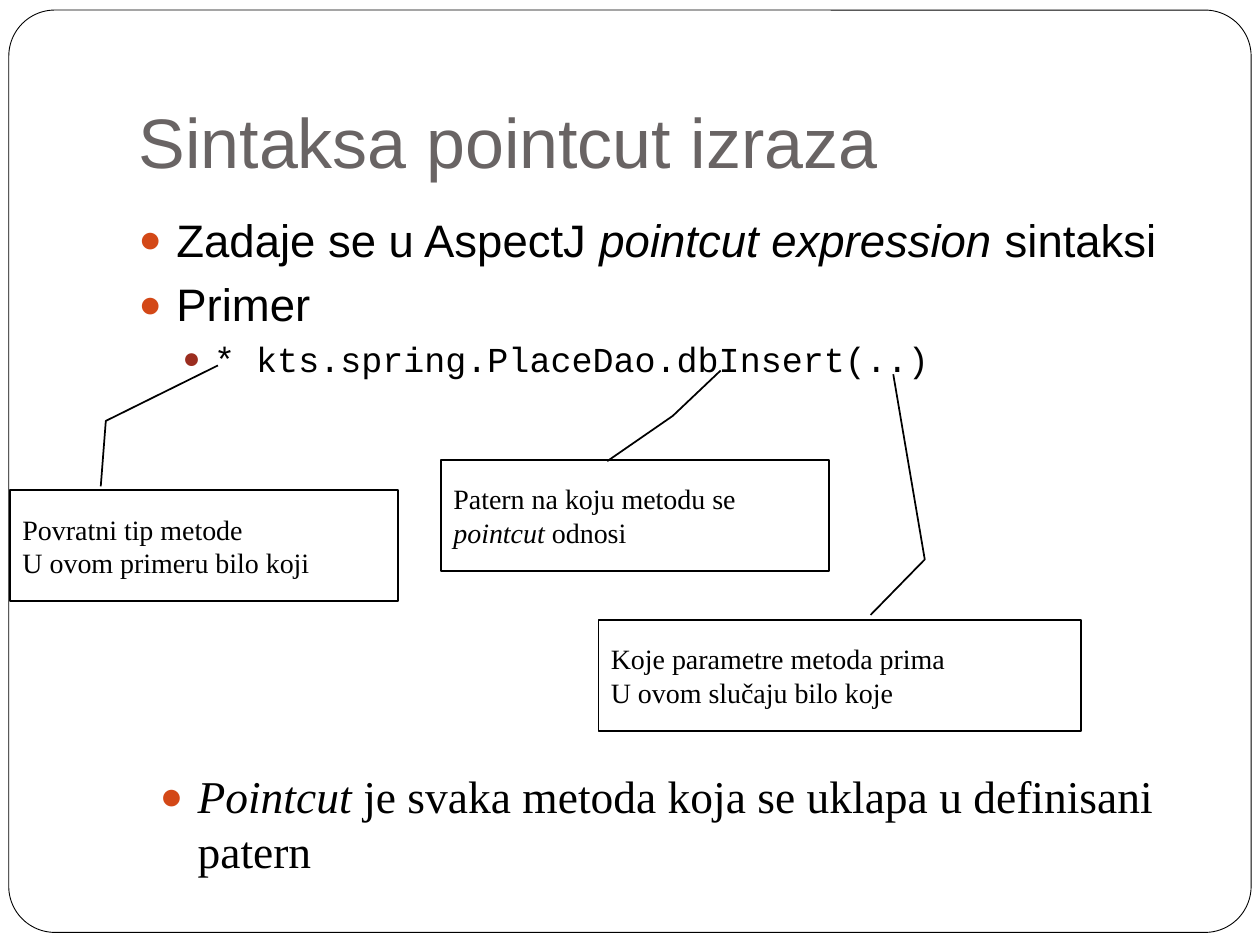
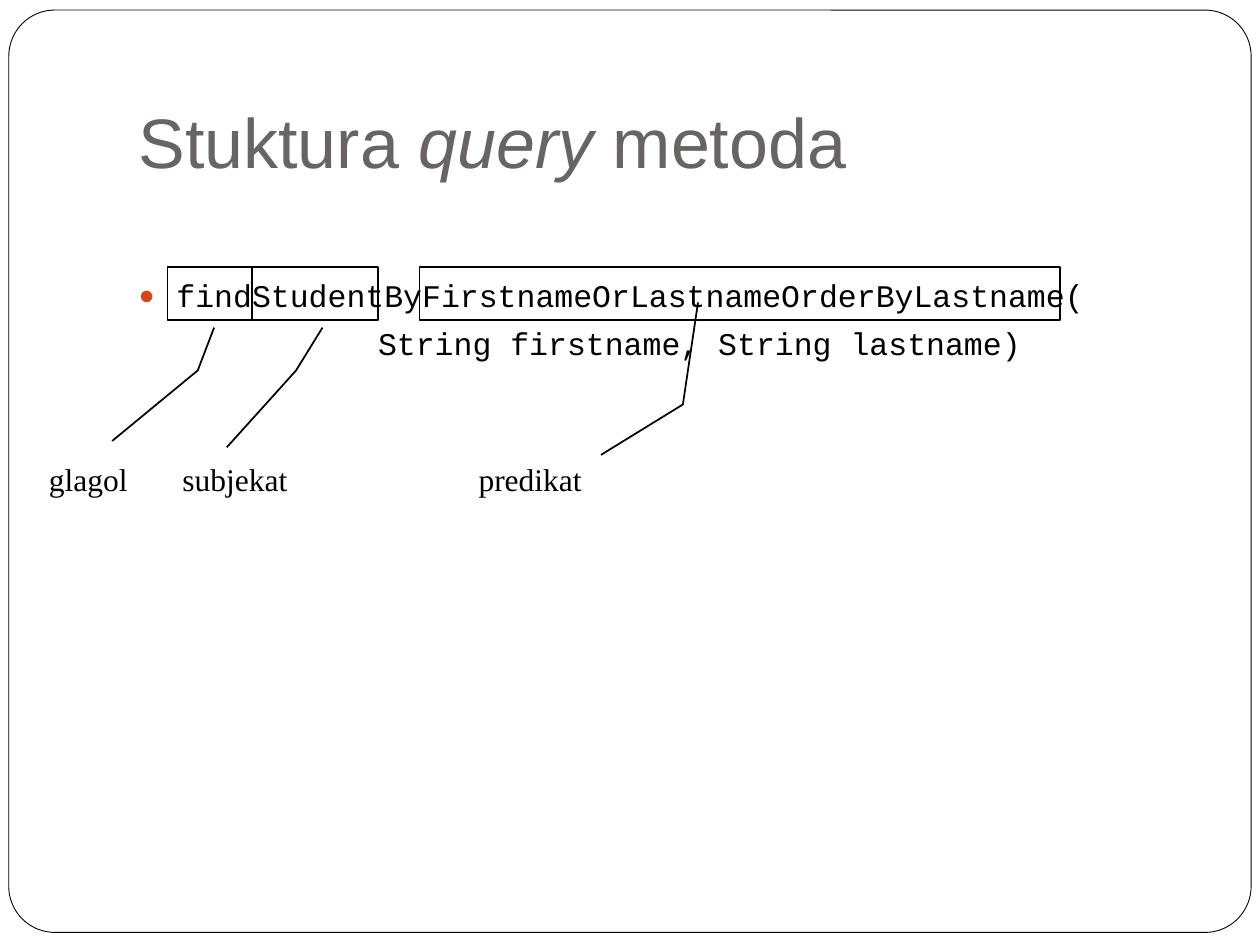
from lxml import etree
from pptx import Presentation
from pptx import util as u
from pptx.dml.color import RGBColor
from pptx.enum import shapes, text
from pptx.oxml.ns import qn

SANS, SERIF, MONO = "Arial", "Times New Roman", "Courier New"
BLACK, WHITE, GREY = "000000", "FFFFFF", "696464"
ORANGE, RED = "D34817", "9B2D1F"


def color(value):
    return RGBColor.from_string(value)


def inches(*values):
    return [u.Inches(value) for value in values]


class Deck:
    def __init__(self):
        self.presentation = Presentation()
        self.presentation.slide_width, self.presentation.slide_height = inches(10, 7.5)
        self.layout = self.presentation.slide_layouts[1]
        self.slide = None

    def outline(self, shape, width, fill):
        shape.shadow.inherit = False
        shape.line.color.rgb = color(BLACK)
        shape.line.width = u.Pt(width)
        if fill:
            shape.fill.solid()
            shape.fill.fore_color.rgb = color(fill)
        else:
            shape.fill.background()

    def frame(self):
        frame = self.slide.shapes.add_shape(
            shapes.MSO_SHAPE.ROUNDED_RECTANGLE, *inches(0.07, 0.08, 9.86, 7.32))
        frame.adjustments[0] = 0.05
        self.outline(frame, 0.5, WHITE)
        self.layout.element.cSld.spTree.insert(2, frame.element)

    def new_slide(self, title_runs):
        self.slide = self.presentation.slides.add_slide(self.layout)
        if len(self.presentation.slides) == 1:
            self.frame()
        title = self.slide.shapes.title
        self.place(title, 1, 0.3, 8.5, 1.25)
        frame = title.text_frame
        frame.margin_bottom = u.Inches(0.1)
        frame.vertical_anchor = text.MSO_ANCHOR.BOTTOM
        self.add_runs(frame.paragraphs[0], title_runs, SANS, 40, GREY)

    def place(self, shape, left, top, width, height):
        shape.left, shape.top, shape.width, shape.height = inches(left, top, width, height)
        shape.text_frame.word_wrap = True
        shape.text_frame.auto_size = text.MSO_AUTO_SIZE.NONE

    def add_runs(self, paragraph, runs, font, size, font_color=BLACK):
        paragraph.alignment = text.PP_ALIGN.LEFT
        for content, italic in runs:
            run = paragraph.add_run()
            run.text = content
            run.font.name = font
            run.font.size = u.Pt(size)
            run.font.italic = italic
            run.font.color.rgb = color(font_color)

    def body(self, top, height):
        body = self.slide.placeholders[1]
        self.place(body, 1, top, 8.5, height)
        return body.text_frame

    def textbox(self, left, top, width, height):
        box = self.slide.shapes.add_textbox(*inches(left, top, width, height))
        box.text_frame.word_wrap = True
        return box.text_frame

    def item(self, frame, runs, font, size, margin=0.3, indent=-0.3,
             bullet=ORANGE, level=0, before=5.8):
        paragraph = frame.paragraphs[0]
        first = not paragraph.runs
        if not first:
            paragraph = frame.add_paragraph()
        properties = paragraph._p.get_or_add_pPr()
        properties.set("marL", str(u.Inches(margin)))
        properties.set("indent", str(u.Inches(indent)))
        if bullet:
            bullet_color = etree.SubElement(properties, qn("a:buClr"))
            etree.SubElement(bullet_color, qn("a:srgbClr"), val=bullet)
            etree.SubElement(properties, qn("a:buSzPct"), val="85000")
            etree.SubElement(properties, qn("a:buFont"), typeface=SANS)
            etree.SubElement(properties, qn("a:buChar"), char="●")
        else:
            etree.SubElement(properties, qn("a:buNone"))
        paragraph.level = level
        paragraph.space_before = u.Pt(0 if first else before)
        self.add_runs(paragraph, runs, font, size)

    def callout(self, box, points, lines=(), fill=None):
        left, top, width, height = box
        callout = self.slide.shapes.add_shape(shapes.MSO_SHAPE.LINE_CALLOUT_2, *inches(*box))
        for index, (x, y) in enumerate(points):
            callout.adjustments[2 * index] = (y - top) / height
            callout.adjustments[2 * index + 1] = (x - left) / width
        self.outline(callout, 1, fill)
        frame = callout.text_frame
        frame.word_wrap = True
        frame.vertical_anchor = text.MSO_ANCHOR.MIDDLE
        for index, runs in enumerate(lines):
            paragraph = frame.add_paragraph() if index else frame.paragraphs[0]
            self.add_runs(paragraph, runs, SERIF, 16)

    def label(self, content, left, width):
        frame = self.textbox(left, 3.6, width, 0.4)
        self.add_runs(frame.paragraphs[0], [(content, False)], SERIF, 18)


def pointcut_slide(deck):
    deck.new_slide([("Sintaksa pointcut izraza", False)])
    body = deck.body(1.63, 4.95)
    deck.item(body, [("Zadaje se u AspectJ ", False), ("pointcut expression", True),
                     (" sintaksi", False)], SANS, 26)
    deck.item(body, [("Primer", False)], SANS, 26)
    deck.item(body, [("* kts.spring.PlaceDao.dbInsert(..)", False)], MONO, 20,
              margin=0.6, indent=-0.25, bullet=RED, level=1, before=3.7)
    callouts = [
        ((0.08, 3.89, 3.08, 0.88), [(0.8, 3.86), (0.84, 3.34), (1.73, 2.9)],
         [[("Povratni tip metode", False)], [("U ovom primeru bilo koji", False)]]),
        ((3.5, 3.65, 3.08, 0.88), [(4.82, 3.66), (5.34, 3.3), (5.72, 2.94)],
         [[("Patern na koju metodu se ", False), ("pointcut", True), (" odnosi", False)]]),
        ((4.75, 4.92, 3.83, 0.88), [(6.91, 4.88), (7.34, 4.44), (7.09, 2.97)],
         [[("Koje parametre metoda prima", False)], [("U ovom slučaju bilo koje", False)]]),
    ]
    for box, points, lines in callouts:
        deck.callout(box, points, lines, WHITE)
    conclusion = deck.textbox(1.17, 6.05, 8.5, 1.03)
    deck.item(conclusion, [("Pointcut", True),
                           (" je svaka metoda koja se uklapa u definisani patern", False)],
              SERIF, 26)


def query_slide(deck):
    deck.new_slide([("Stuktura ", False), ("query ", True), ("metoda", False)])
    body = deck.body(2.14, 4.44)
    deck.item(body, [("findStudentByFirstnameOrLastnameOrderByLastname(", False)], MONO, 18)
    deck.item(body, [("      String firstname, String lastname)", False)], MONO, 18,
              margin=1, indent=0, bullet=None)
    parts = [
        ("glagol", 0.29, 1.06, 1.33, 0.67, [(1.7, 2.6), (1.57, 2.94), (0.89, 3.5)]),
        ("subjekat", 1.35, 1.4, 2, 1, [(2.56, 2.6), (2.35, 2.94), (1.8, 3.55)]),
        ("predikat", 3.7, 1.4, 3.33, 5.08, [(5.54, 2.4), (5.42, 3.21), (4.77, 3.61)]),
    ]
    for name, label_left, label_width, left, width, points in parts:
        deck.callout((left, 2.12, width, 0.42), points)
        deck.label(name, label_left, label_width)


def main():
    deck = Deck()
    pointcut_slide(deck)
    query_slide(deck)
    deck.presentation.save("out.pptx")


if __name__ == "__main__":
    main()
